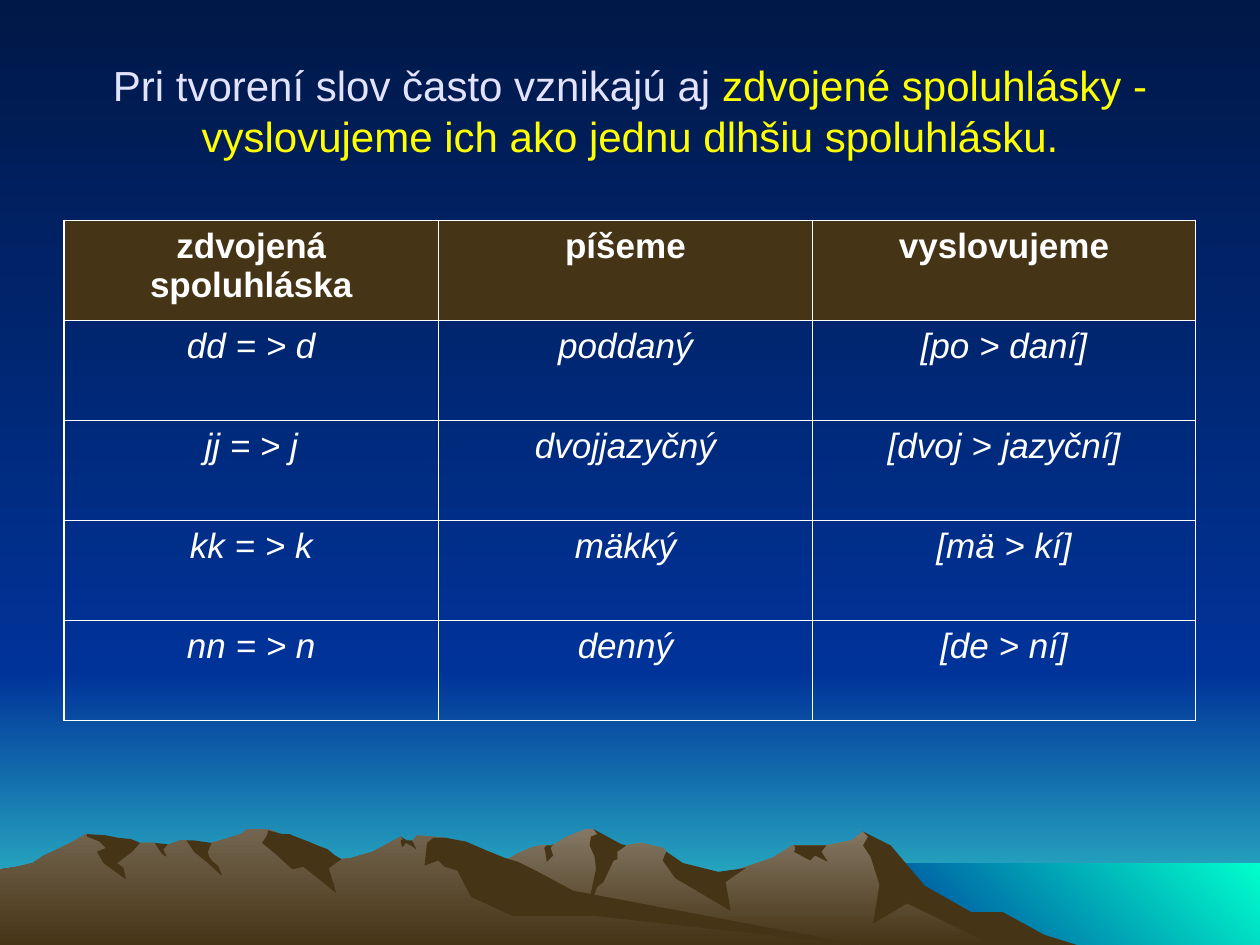
from lxml.etree import SubElement
from pptx import Presentation
from pptx.dml.color import RGBColor
from pptx.enum.text import MSO_ANCHOR, PP_ALIGN
from pptx.oxml.ns import qn
from pptx.util import Inches, Pt

COLORS = {
    "night": "001847", "blue": "003399", "horizon": "33CCCC", "sea": "00FFCC",
    "rock": "463416", "far_rock": "847864", "near_rock": "73654F",
    "title": "E3E3FF", "highlight": "FFFF00", "white": "FFFFFF",
}
DOWN, UP_RIGHT = 270, 45
TITLE_RUNS = [
    ("Pri tvorení slov často vznikajú aj ", "title"),
    ("zdvojené spoluhlásky - vyslovujeme ich ako jednu dlhšiu spoluhlásku.", "highlight"),
]
TABLE_ROWS = [
    ("zdvojená spoluhláska", "píšeme", "vyslovujeme"),
    ("dd = > d", "poddaný", "[po > daní]"),
    ("jj = > j", "dvojjazyčný", "[dvoj > jazyční]"),
    ("kk = > k", "mäkký", "[mä > kí]"),
    ("nn = > n", "denný", "[de > ní]"),
]
COLUMN_WIDTHS = (2.97, 2.97, 3.04)
ROW_HEIGHT = 0.794

FAR_RANGE = [
    (802, 740), (778, 727), (764, 723), (723, 698), (702, 671), (685, 660), (676, 667),
    (656, 671), (629, 671), (613, 681), (566, 697), (536, 690), (529, 676), (526, 673),
    (509, 669), (497, 671), (486, 673), (474, 661), (471, 658), (465, 658), (450, 664),
    (444, 668), (438, 671), (430, 671), (424, 672), (412, 677), (405, 681), (394, 685),
    (355, 698), (327, 709), (277, 739), (258, 751), (821, 751),
]
FAR_SHADOWS = [
    [(796, 724), (771, 724), (734, 703), (707, 671), (685, 660), (689, 664), (685, 671),
     (691, 680), (698, 702), (693, 733), (720, 717), (792, 752), (858, 751), (829, 742)],
    [(471, 658), (474, 662), (469, 664), (468, 671), (472, 680), (473, 690), (465, 727),
     (474, 704), (479, 700), (487, 683), (490, 682), (490, 676), (497, 671), (493, 670)],
    [(529, 676), (528, 678), (526, 683), (536, 697), (580, 723), (576, 700), (592, 689),
     (570, 692), (542, 685)],
    [(650, 671), (630, 671), (631, 672), (631, 675), (630, 676), (643, 683), (647, 679),
     (657, 684), (652, 676), (656, 671)],
    [(433, 677), (432, 673), (434, 671), (438, 671), (439, 670), (437, 673), (439, 679),
     (434, 684)],
]
NEAR_RANGE = [
    (690, 751), (667, 748), (432, 712), (354, 665), (331, 663), (327, 668), (323, 668),
    (318, 664), (296, 676), (279, 681), (271, 682), (260, 676), (236, 681), (223, 663),
    (219, 660), (212, 658), (196, 658), (191, 662), (178, 666), (168, 669), (160, 671),
    (148, 667), (143, 667), (132, 671), (128, 671), (123, 669), (111, 669), (94, 671),
    (68, 662), (56, 669), (46, 674), (35, 679), (26, 685), (14, 688), (0, 690), (0, 751),
]
NEAR_SHADOWS = [
    [(212, 663), (208, 669), (219, 678), (232, 690), (241, 688), (267, 709), (261, 689),
     (271, 682), (266, 679), (260, 674), (252, 671), (245, 668), (232, 663), (230, 662),
     (224, 662), (213, 659)],
    [(370, 668), (354, 665), (344, 665), (339, 669), (337, 687), (348, 683), (353, 688),
     (363, 691), (374, 712), (407, 727), (472, 727), (690, 751), (683, 750), (455, 707),
     (427, 692), (411, 684), (401, 681), (386, 675)],
    [(318, 667), (320, 666), (318, 664), (323, 667), (327, 667), (330, 673), (330, 674),
     (326, 671), (322, 669), (320, 672), (319, 672)],
    [(154, 667), (161, 668), (168, 669), (165, 676), (166, 680), (169, 684), (173, 687),
     (176, 694), (176, 695), (165, 685), (154, 676), (148, 667)],
    [(133, 670), (130, 674), (130, 675), (132, 679), (132, 680), (129, 678), (126, 674),
     (123, 669)],
    [(109, 668), (111, 669), (105, 676), (93, 685), (98, 689), (100, 698), (82, 685),
     (77, 676), (84, 673), (79, 668), (69, 664), (69, 662), (84, 663), (94, 665),
     (104, 666)],
]


def rgb(name):
    """Return the named colour."""
    return RGBColor.from_string(COLORS[name])


def rectangle(left, top, right, bottom):
    """Return the corners of a rectangle in hundredths of an inch."""
    return [(left, top), (right, top), (right, bottom), (left, bottom)]


def fill_gradient(fill, names, angle):
    """Apply a two-colour linear gradient."""
    fill.gradient()
    fill.gradient_angle = angle
    for position, (stop, name) in enumerate(zip(fill.gradient_stops, names)):
        stop.position = position
        stop.color.rgb = rgb(name)


def add_outline(slide, points, names, angle=DOWN):
    """Add a closed borderless outline with a solid or gradient fill."""
    builder = slide.shapes.build_freeform(*points[0], scale=Inches(0.01))
    builder.add_line_segments(points[1:], close=True)
    shape = builder.convert_to_shape()
    shape.shadow.inherit = False
    shape.line.fill.background()
    if len(names) == 2:
        fill_gradient(shape.fill, names, angle)
    else:
        shape.fill.solid()
        shape.fill.fore_color.rgb = rgb(names[0])


def add_landscape(slide):
    """Draw the sky, the sea and the two mountain ranges."""
    add_outline(slide, rectangle(0, 533, 1000, 750), ("blue", "horizon"))
    add_outline(slide, rectangle(0, 0, 1000, 533), ("night", "blue"))
    add_outline(slide, rectangle(683, 685, 1000, 752), ("blue", "sea"), UP_RIGHT)
    ranges = [("far_rock", FAR_RANGE, FAR_SHADOWS), ("near_rock", NEAR_RANGE, NEAR_SHADOWS)]
    for name, ridge, shadows in ranges:
        add_outline(slide, ridge, (name, "rock"))
        for shadow in shadows:
            add_outline(slide, shadow, ("rock",))


def add_run(paragraph, text, color, **formats):
    """Add a formatted run to a centred paragraph."""
    paragraph.alignment = PP_ALIGN.CENTER
    run = paragraph.add_run()
    run.text = text
    run.font.color.rgb = rgb(color)
    for attribute, value in {"name": "Arial", **formats}.items():
        setattr(run.font, attribute, value)


def add_title(slide):
    """Place the two-colour title in front of the landscape."""
    title = slide.shapes.title
    title.element.getparent().append(title.element)
    place = {"left": 0.5, "top": 0.25, "width": 9, "height": 1.25}
    for attribute, value in place.items():
        setattr(title, attribute, Inches(value))
    title.text_frame.vertical_anchor = MSO_ANCHOR.MIDDLE
    for text, color in TITLE_RUNS:
        add_run(title.text_frame.paragraphs[0], text, color, size=Pt(24))


def add_borders(cell, outer_sides):
    """Draw white borders, heavier on the outer sides of the table."""
    properties = cell._tc.get_or_add_tcPr()
    for side in "LRTB":
        width = Pt(1.08 if side in outer_sides else 0.45)
        line = SubElement(properties, qn(f"a:ln{side}"), w=str(width))
        solid = SubElement(line, qn("a:solidFill"))
        SubElement(solid, qn("a:srgbClr"), val=COLORS["white"])


def add_consonant_table(slide):
    """Add the table of doubled consonants."""
    row_count, column_count = len(TABLE_ROWS), len(COLUMN_WIDTHS)
    table = slide.shapes.add_table(
        row_count, column_count, Inches(0.51), Inches(1.75),
        Inches(sum(COLUMN_WIDTHS)), Inches(ROW_HEIGHT * row_count)).table
    table.first_row = table.horz_banding = False
    for column, width in zip(table.columns, COLUMN_WIDTHS):
        column.width = Inches(width)
    for row, texts in enumerate(TABLE_ROWS):
        for column, text in enumerate(texts):
            cell = table.cell(row, column)
            edges = {"L": column == 0, "R": column == column_count - 1,
                     "T": row == 0, "B": row == row_count - 1}
            add_borders(cell, [side for side, outer in edges.items() if outer])
            if row == 0:
                cell.fill.solid()
                cell.fill.fore_color.rgb = rgb("rock")
            else:
                cell.fill.background()
            add_run(cell.text_frame.paragraphs[0], text, "white",
                    size=Pt(20), bold=row == 0, italic=row > 0)


def main():
    """Build and save the slide."""
    presentation = Presentation()
    presentation.slide_width, presentation.slide_height = Inches(10), Inches(7.5)
    slide = presentation.slides.add_slide(presentation.slide_layouts[5])
    fill_gradient(slide.background.fill, ("night", "blue"), DOWN)
    add_landscape(slide)
    add_title(slide)
    add_consonant_table(slide)
    presentation.save("out.pptx")


if __name__ == "__main__":
    main()
